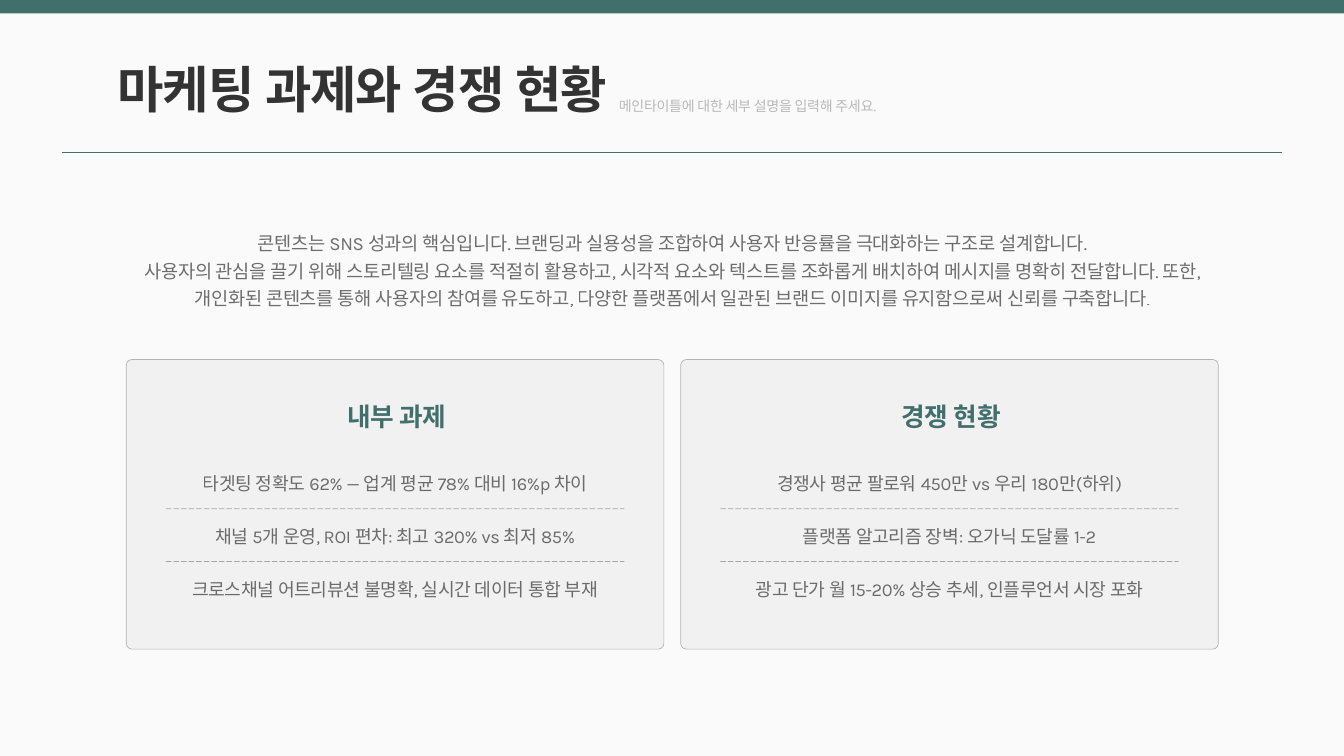
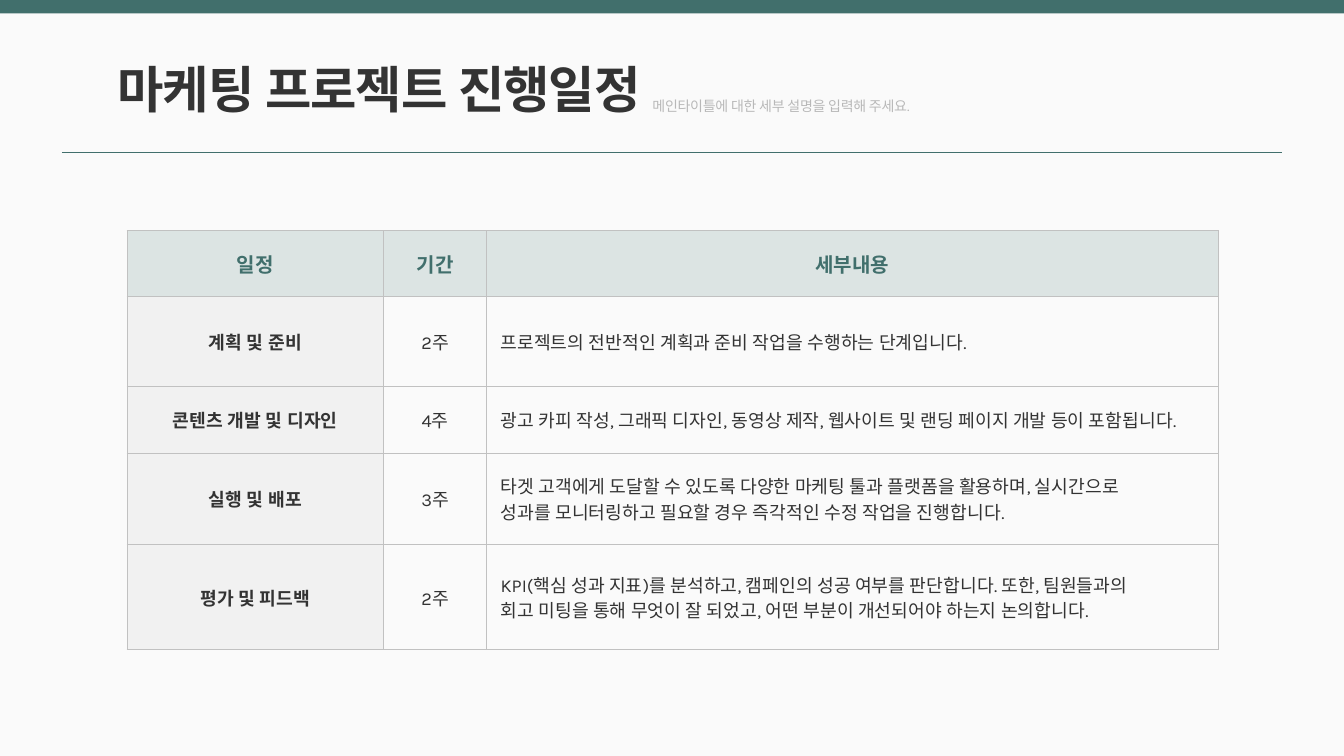
import pptx
import pptx.dml.color
import pptx.enum.dml
import pptx.enum.shapes
import pptx.enum.text
import pptx.oxml
import pptx.oxml.ns
import pptx.util
from lxml import etree

Inches = pptx.util.Inches
Pt = pptx.util.Pt
qn = pptx.oxml.ns.qn
ALIGN = pptx.enum.text.PP_ALIGN
SHAPES = pptx.enum.shapes.MSO_SHAPE

FONT = "Karla"
COLORS = {
    "background": "FAFAFA",
    "accent": "416F6C",
    "ink": "333333",
    "card": "F1F1F1",
    "card_line": "B3B3B3",
    "table_header": "DCE4E3",
    "table_line": "C1C1C1",
}
SUBTITLE = "메인타이틀에 대한 세부 설명을 입력해 주세요."

INTRODUCTION = [
    "콘텐츠는 SNS 성과의 핵심입니다. 브랜딩과 실용성을 조합하여 사용자 반응률을 극대화하는 구조로 설계합니다.",
    "사용자의 관심을 끌기 위해 스토리텔링 요소를 적절히 활용하고, 시각적 요소와 텍스트를 조화롭게 배치하여 "
    "메시지를 명확히 전달합니다. 또한, 개인화된 콘텐츠를 통해 사용자의 참여를 유도하고, 다양한 플랫폼에서 "
    "일관된 브랜드 이미지를 유지함으로써 신뢰를 구축합니다.",
]
CARDS = [
    ("내부 과제", [
        "타겟팅 정확도 62% — 업계 평균 78% 대비 16%p 차이",
        "채널 5개 운영, ROI 편차: 최고 320% vs 최저 85%",
        "크로스채널 어트리뷰션 불명확, 실시간 데이터 통합 부재",
    ]),
    ("경쟁 현황", [
        "경쟁사 평균 팔로워 450만 vs 우리 180만(하위)",
        "플랫폼 알고리즘 장벽: 오가닉 도달률 1-2",
        "광고 단가 월 15-20% 상승 추세, 인플루언서 시장 포화",
    ]),
]
SCHEDULE_HEADER = ["일정", "기간", "세부내용"]
SCHEDULE = [
    ("계획 및 준비", "2주", ["프로젝트의 전반적인 계획과 준비 작업을 수행하는 단계입니다."]),
    ("콘텐츠 개발 및 디자인", "4주", [
        "광고 카피 작성, 그래픽 디자인, 동영상 제작, 웹사이트 및 랜딩 페이지 개발 등이 포함됩니다.",
    ]),
    ("실행 및 배포", "3주", [
        "타겟 고객에게 도달할 수 있도록 다양한 마케팅 툴과 플랫폼을 활용하며, 실시간으로",
        "성과를 모니터링하고 필요할 경우 즉각적인 수정 작업을 진행합니다.",
    ]),
    ("평가 및 피드백", "2주", [
        "KPI(핵심 성과 지표)를 분석하고, 캠페인의 성공 여부를 판단합니다. 또한, 팀원들과의",
        "회고 미팅을 통해 무엇이 잘 되었고, 어떤 부분이 개선되어야 하는지 논의합니다.",
    ]),
]
COLUMN_WIDTHS = [3.82, 1.53, 10.89]
ROW_HEIGHTS = [0.98, 1.34, 0.99, 1.36, 1.57]


def rgb(name):
    return pptx.dml.color.RGBColor.from_string(COLORS[name])


def set_opacity(element, percent):
    for color in element.iter(qn("a:srgbClr")):
        etree.SubElement(color, qn("a:alpha"), val=str(percent * 1000))


def write_paragraphs(frame, lines, size, line_spacing, color="ink", bold=False,
                     align=ALIGN.LEFT, tracking=0, opacity=100):
    for index, line in enumerate(lines):
        paragraph = frame.paragraphs[0] if index == 0 else frame.add_paragraph()
        paragraph.text = line
        paragraph.alignment = align
        paragraph.line_spacing = Pt(line_spacing)
        font = paragraph.font
        font.size = Pt(size)
        font.bold = bold
        font.color.rgb = rgb(color)
        font.name = FONT
        properties = font._element
        properties.find(qn("a:latin")).addnext(
            properties.makeelement(qn("a:ea"), {"typeface": FONT}))
        if tracking:
            properties.set("spc", str(round(tracking * 100)))
        if opacity < 100:
            set_opacity(properties, opacity)


def add_text(slide, left, top, width, height, lines, **style):
    box = slide.shapes.add_textbox(Inches(left), Inches(top), Inches(width), Inches(height))
    frame = box.text_frame
    frame.margin_left = frame.margin_right = frame.margin_top = frame.margin_bottom = 0
    frame.word_wrap = True
    frame.auto_size = pptx.enum.text.MSO_AUTO_SIZE.SHAPE_TO_FIT_TEXT
    write_paragraphs(frame, lines, **style)


def add_panel(slide, kind, left, top, width, height, fill, outline=None):
    shape = slide.shapes.add_shape(kind, Inches(left), Inches(top), Inches(width), Inches(height))
    shape.shadow.inherit = False
    shape.fill.solid()
    shape.fill.fore_color.rgb = rgb(fill)
    if outline:
        shape.line.color.rgb = rgb(outline)
        shape.line.width = Pt(0.75)
    else:
        shape.line.fill.background()
    return shape


def add_rule(slide, left, top, width, color, dashed=False, opacity=100):
    rule = slide.shapes.add_connector(
        pptx.enum.shapes.MSO_CONNECTOR.STRAIGHT,
        Inches(left), Inches(top), Inches(left + width), Inches(top))
    rule.line.color.rgb = rgb(color)
    rule.line.width = Pt(0.75)
    if dashed:
        rule.line.dash_style = pptx.enum.dml.MSO_LINE.LONG_DASH
    properties = rule._element.spPr
    if opacity < 100:
        set_opacity(properties, opacity)
    etree.SubElement(properties, qn("a:effectLst"))


def add_titled_slide(presentation, title, title_width, subtitle_left):
    slide = presentation.slides.add_slide(presentation.slide_layouts[6])
    slide.background.fill.solid()
    slide.background.fill.fore_color.rgb = rgb("background")
    add_panel(slide, SHAPES.RECTANGLE, 0, 0, 20, 0.2, "accent")
    add_rule(slide, 0.92, 2.26, 18.16, "accent")
    add_text(slide, 1.75, 1, title_width, 0.8, [title],
             size=54, line_spacing=55.1, bold=True, tracking=-1.1)
    add_text(slide, subtitle_left, 1.45, 4.97, 0.25, [SUBTITLE],
             size=15, line_spacing=18, tracking=-0.3, opacity=33)
    return slide


def add_card(slide, left, heading, items):
    card = add_panel(slide, SHAPES.ROUNDED_RECTANGLE, left, 5.35, 8, 4.31, "card", "card_line")
    card.adjustments[0] = 0.02
    add_text(slide, left + 2.73, 5.87, 2.59, 0.53, [heading], size=27.5, line_spacing=40.1,
             color="accent", bold=True, align=ALIGN.CENTER, tracking=-0.5)
    for index, item in enumerate(items):
        offset = index * 0.785
        add_text(slide, left + 0.31, 6.95 + offset, 7.38, 0.39, [item], size=19.5,
                 line_spacing=29.2, align=ALIGN.CENTER, tracking=-0.4, opacity=70)
        if index < len(items) - 1:
            add_rule(slide, left + 0.59, 7.57 + offset, 6.82, "ink", dashed=True, opacity=39)


def set_cell_borders(cell):
    properties = cell._tc.get_or_add_tcPr()
    for index, side in enumerate(("lnL", "lnR", "lnT", "lnB")):
        line = properties.makeelement(qn(f"a:{side}"), {"w": str(Pt(0.75))})
        fill = etree.SubElement(line, qn("a:solidFill"))
        etree.SubElement(fill, qn("a:srgbClr"), val=COLORS["table_line"])
        properties.insert(index, line)


def fill_cell(cell, lines, fill=None, **style):
    cell.margin_left = cell.margin_right = Inches(0.21)
    cell.margin_top = cell.margin_bottom = Inches(0.21)
    cell.vertical_anchor = pptx.enum.text.MSO_ANCHOR.MIDDLE
    if fill:
        cell.fill.solid()
        cell.fill.fore_color.rgb = rgb(fill)
    else:
        cell.fill.background()
    set_cell_borders(cell)
    write_paragraphs(cell.text_frame, lines, **style)


def add_schedule_table(slide):
    table = slide.shapes.add_table(
        len(ROW_HEIGHTS), len(COLUMN_WIDTHS), Inches(1.89), Inches(3.43),
        Inches(sum(COLUMN_WIDTHS)), Inches(sum(ROW_HEIGHTS))).table
    table.first_row = table.horz_banding = False
    for column, width in zip(table.columns, COLUMN_WIDTHS):
        column.width = Inches(width)
    for row, height in zip(table.rows, ROW_HEIGHTS):
        row.height = Inches(height)
    for column, label in enumerate(SCHEDULE_HEADER):
        fill_cell(table.cell(0, column), [label], "table_header", size=21.5,
                  line_spacing=30.1, color="accent", bold=True, align=ALIGN.CENTER)
    body = {"size": 19.5, "line_spacing": 27.3}
    for row, (stage, period, details) in enumerate(SCHEDULE, start=1):
        fill_cell(table.cell(row, 0), [stage], "card", bold=True, align=ALIGN.CENTER, **body)
        fill_cell(table.cell(row, 1), [period], align=ALIGN.CENTER, **body)
        fill_cell(table.cell(row, 2), details, **body)


def build_challenges_slide(presentation):
    slide = add_titled_slide(presentation, "마케팅 과제와 경쟁 현황", 9, 9.21)
    add_text(slide, 1.88, 3.36, 16.25, 1.24, INTRODUCTION, size=20, line_spacing=30,
             align=ALIGN.CENTER, tracking=-0.4, opacity=70)
    for index, (heading, items) in enumerate(CARDS):
        add_card(slide, 1.88 + index * 8.25, heading, items)


def build_schedule_slide(presentation):
    slide = add_titled_slide(presentation, "마케팅 프로젝트 진행일정", 10.71, 9.71)
    add_schedule_table(slide)


def main():
    presentation = pptx.Presentation()
    presentation.slide_width = Inches(20)
    presentation.slide_height = Inches(11.25)
    build_challenges_slide(presentation)
    build_schedule_slide(presentation)
    presentation.save("out.pptx")


if __name__ == "__main__":
    main()
